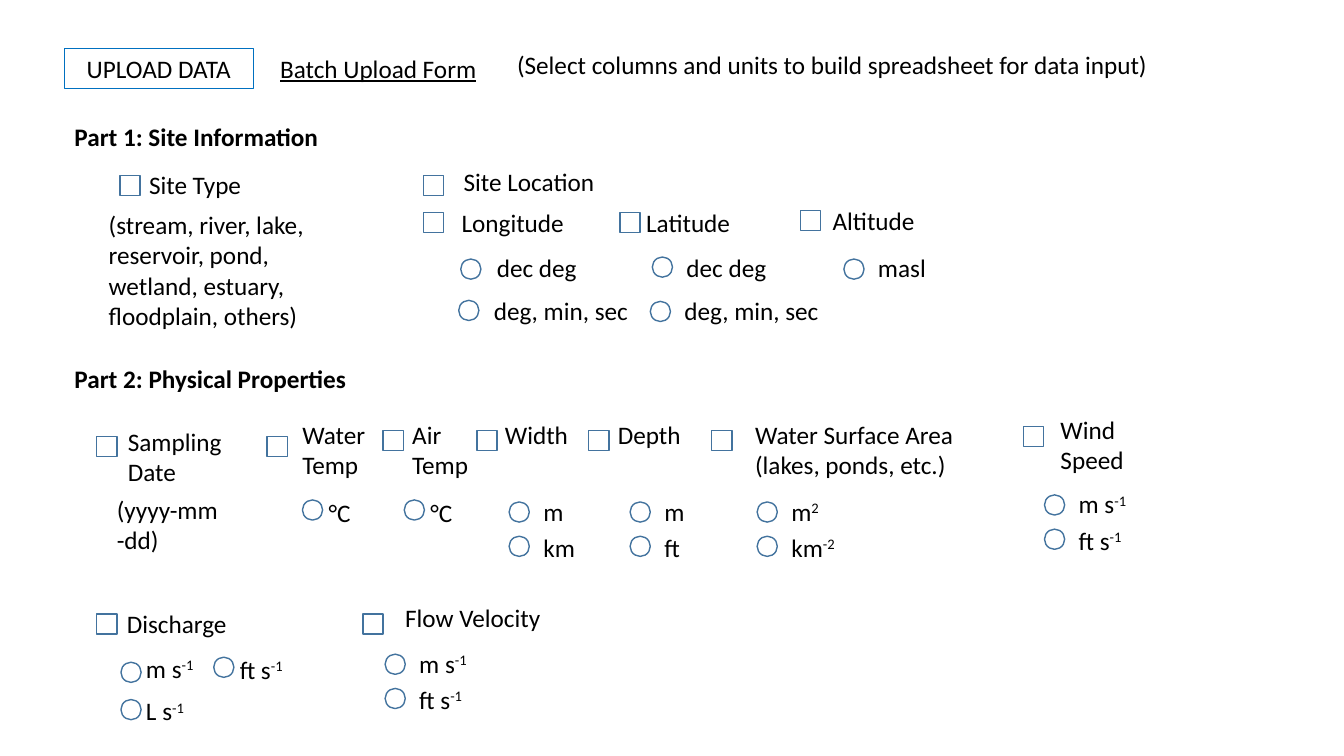
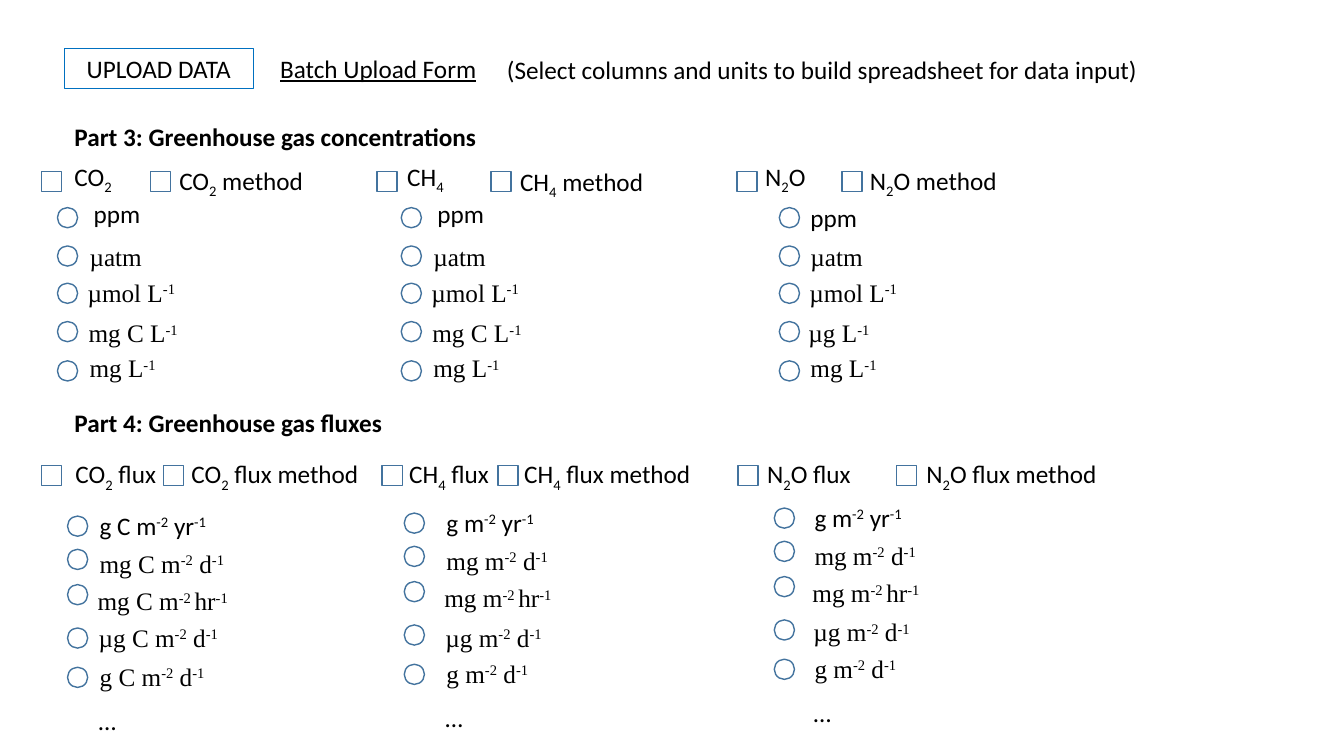
import pptx
import pptx.util
import pptx.dml.color
import pptx.enum.shapes
import pptx.enum.text

Inches = pptx.util.Inches
SHAPES = pptx.enum.shapes.MSO_SHAPE
SANS = "Calibri"
SERIF = "Times New Roman"
BLACK = "000000"
EDGE = "43739E"
BLUE = "0070C0"
MARK = 0.2
LINE = 0.4
STEP = 0.3
LEVELS = {"^": "30000", "_": "-25000"}


def color(code):
    return pptx.dml.color.RGBColor.from_string(code)


class Form:
    def __init__(self):
        self.deck = pptx.Presentation()
        self.deck.slide_width = Inches(13.33)
        self.deck.slide_height = Inches(7.5)
        self.slide = None

    def page(self, hint_left, hint_top, name_width):
        self.slide = self.deck.slides.add_slide(self.deck.slide_layouts[6])
        button = self.outline(SHAPES.RECTANGLE, 0.64, 0.48, 1.87, LINE, BLUE, 0.75)
        self.letter(button, "UPLOAD DATA", wrap=True)
        button.text_frame.paragraphs[0].alignment = pptx.enum.text.PP_ALIGN.CENTER
        self.text("Batch Upload Form", 2.68, 0.48, name_width, wrap=True, under=True)
        self.text("(Select columns and units to build spreadsheet for data input)",
                  hint_left, hint_top, 6.53)

    def outline(self, kind, left, top, width, height, edge, weight):
        shape = self.slide.shapes.add_shape(
            kind, Inches(left), Inches(top), Inches(width), Inches(height))
        shape.shadow.inherit = False
        shape.fill.background()
        shape.line.color.rgb = color(edge)
        shape.line.width = pptx.util.Pt(weight)
        return shape

    def letter(self, shape, text, wrap=False, font=SANS, bold=False, under=False):
        frame = shape.text_frame
        frame.text = text
        frame.word_wrap = wrap
        frame.auto_size = pptx.enum.text.MSO_AUTO_SIZE.SHAPE_TO_FIT_TEXT
        frame.vertical_anchor = pptx.enum.text.MSO_ANCHOR.TOP
        for para in frame.paragraphs:
            first, *rest = para.text.split("|")
            para.text = first
            for part in filter(None, rest):
                run = para.add_run()
                run.text = part.lstrip("^_")
                if part[0] in LEVELS:
                    run.font._element.set("baseline", LEVELS[part[0]])
            for run in para.runs:
                run.font.name = font
                run.font.size = pptx.util.Pt(18)
                run.font.bold = bold
                run.font.underline = under
                run.font.color.rgb = color(BLACK)

    def text(self, text, left, top, width, lines=0, **style):
        lines = lines or text.count("\n") + 1
        height = LINE + STEP * (lines - 1)
        box = self.slide.shapes.add_textbox(
            Inches(left), Inches(top), Inches(width), Inches(height))
        self.letter(box, text, **style)

    def title(self, text, top, width):
        self.text(text, 0.64, top, width, bold=True)

    def check(self, x, y, text, left, top, width):
        self.outline(SHAPES.RECTANGLE, x, y, MARK, MARK, EDGE, 1)
        self.text(text, left, top, width)

    def radio(self, x, y, text, left, top, width, **style):
        self.outline(SHAPES.OVAL, x, y, MARK, MARK, EDGE, 1)
        self.text(text, left, top, width, **style)

    def pair(self, x, y, *items):
        for row, (text, width) in enumerate(items):
            self.radio(x, y + 0.34 * row, text, x + 0.24, y - 0.11 + 0.36 * row, width)


def site(form):
    form.page(5.03, 0.44, 2.35)
    form.title("Part 1: Site Information", 1.15, 2.64)
    for item in (
        (1.19, 1.74, "Site Type", 1.38, 1.63, 1.13),
        (4.2, 1.74, "Site Location", 4.5, 1.6, 1.51),
        (4.2, 2.11, "Longitude", 4.48, 2.01, 1.23),
        (6.15, 2.11, "Latitude", 6.31, 2.01, 1.05),
        (7.94, 2.09, "Altitude", 8.16, 1.99, 1.02),
    ):
        form.check(*item)
    form.text("(stream, river, lake, reservoir, pond, wetland, estuary, floodplain, others)",
              0.98, 2.03, 2.17, lines=4, wrap=True)
    for item in (
        (4.57, 2.57, "dec deg", 4.83, 2.45, 1.32),
        (4.55, 2.98, "deg, min, sec", 4.8, 2.88, 1.65),
        (6.47, 2.55, "dec deg", 6.71, 2.45, 1.32),
        (6.45, 2.99, "deg, min, sec", 6.69, 2.88, 1.65),
        (8.37, 2.57, "masl", 8.61, 2.45, 0.76),
    ):
        form.radio(*item, wrap=True)

    form.title("Part 2: Physical Properties", 3.56, 2.92)
    for item in (
        (0.96, 4.33, "Sampling\nDate", 1.17, 4.18, 1.14),
        (2.65, 4.33, "Water\nTemp", 2.9, 4.11, 0.83),
        (3.8, 4.27, "Air\nTemp", 3.99, 4.11, 0.76),
        (4.73, 4.27, "Width", 4.91, 4.11, 0.83),
        (5.84, 4.27, "Depth", 6.03, 4.11, 0.83),
        (7.06, 4.27, "Water Surface Area\n(lakes, ponds, etc.)", 7.39, 4.11, 2.25),
        (10.15, 4.23, "Wind\nSpeed", 10.42, 4.06, 0.84),
        (0.96, 6.09, "Discharge", 1.16, 5.99, 1.2),
        (3.6, 6.09, "Flow Velocity", 3.92, 5.93, 1.56),
    ):
        form.check(*item)
    form.text("(yyyy-mm\n-dd)", 1.06, 4.85, 1.22)
    for x in (3, 4.01):
        form.radio(x, 4.96, "°C", x + 0.16, 4.88, 0.42)
    speeds = ("m s|^-1", 0.7), ("ft s|^-1", 0.66)
    form.pair(5.05, 4.98, ("m", 0.4), ("km", 0.52))
    form.pair(6.25, 4.98, ("m", 0.4), ("ft", 0.36))
    form.pair(7.51, 4.98, ("m|^2", 0.49), ("km|^-2", 0.65))
    form.pair(10.36, 4.91, *speeds)
    form.pair(3.82, 6.49, *speeds)
    for item in (
        (1.2, 6.57, "m s|^-1", 1.35, 6.43, 0.7),
        (2.12, 6.52, "ft s|^-1", 2.28, 6.44, 0.66),
        (1.2, 6.94, "L s|^-1", 1.35, 6.85, 0.6),
    ):
        form.radio(*item)


def gases(form):
    form.page(4.93, 0.49, 2.19)
    carbon, methane, nitrous = "CO|_2|", "CH|_4|", "N|_2|O"

    form.title("Part 3: Greenhouse gas concentrations", 1.15, 4.22)
    for gas, x, left, width, x2, left2, top2, width2 in (
        (carbon, 0.41, 0.64, 0.59, 1.49, 1.68, 1.59, 1.46),
        (methane, 3.74, 3.94, 0.58, 4.87, 5.06, 1.6, 1.45),
        (nitrous, 7.31, 7.49, 0.62, 8.35, 8.53, 1.59, 1.49),
    ):
        form.check(x, 1.7, gas, left, 1.55, width)
        form.check(x2, 1.7, f"{gas} method", left2, top2, width2)
    wide = 0.26, 0.22, 0.2, 0.21, 0.22
    near = 0.21, 0.21, 0.2, 0.19, 0.21
    grams = "mg C L|^-1", 1.11
    for x, first, mass, shifts in (
        (0.57, 1.92, grams, wide),
        (3.98, 1.92, grams, wide),
        (7.73, 1.96, ("µg L|^-1", 0.83), near),
    ):
        units = (
            (2.06, first, SANS, "ppm", 0.67),
            (2.44, 2.34, SERIF, "µatm", 0.73),
            (2.81, 2.7, SERIF, "µmol L|^-1", 1.1),
            (3.19, 3.1, SERIF, *mass),
            (3.58, 3.45, SERIF, "mg L|^-1", 0.88),
        )
        for (y, top, font, unit, width), shift in zip(units, shifts):
            form.radio(x, y, unit, x + shift, top, width, font=font)

    form.title("Part 4: Greenhouse gas fluxes", 3.99, 3.28)
    for gas, x, left, width, x2, left2, width2 in (
        (carbon, 0.41, 0.65, 1.02, 1.62, 1.8, 1.89),
        (methane, 3.79, 3.96, 1.02, 4.94, 5.1, 1.88),
        (nitrous, 7.32, 7.51, 1.05, 8.89, 9.09, 1.92),
    ):
        form.check(x, 4.62, f"{gas} flux", left, 4.5, width)
        form.check(x2, 4.62, f"{gas} flux method", left2, 4.5, width2)
    for x, y, left, atom, extra, micro in (
        (0.67, 5.12, 0.89, " C", 0.23, 1),
        (4.01, 5.09, 4.33, "", 0, 1.03),
        (7.68, 5.04, 7.98, "", 0, 1.03),
    ):
        for drop, fall, shift, font, mass, time, width in (
            (0, -0.11, 0, SANS, "g", "|^-2| yr|^-1", 1.11),
            (0.33, 0.27, 0, SERIF, "mg", "|^-2| d|^-1", 1.32),
            (0.68, 0.64, -0.02, SERIF, "mg", "|^-2 |hr|^-1", 1.33),
            (1.11, micro, -0.01, SERIF, "µg", "|^-2| d|^-1", 1.27),
            (1.5, 1.39, 0, SERIF, "g", "|^-2| d|^-1", 1.12),
        ):
            form.radio(x, y + drop, f"{mass}{atom} m{time}",
                       left + shift, y + fall, width + extra, font=font)
        form.text("…", left - 0.01, y + 1.83, 0.38)


def main():
    form = Form()
    site(form)
    gases(form)
    form.deck.save("out.pptx")


if __name__ == "__main__":
    main()
